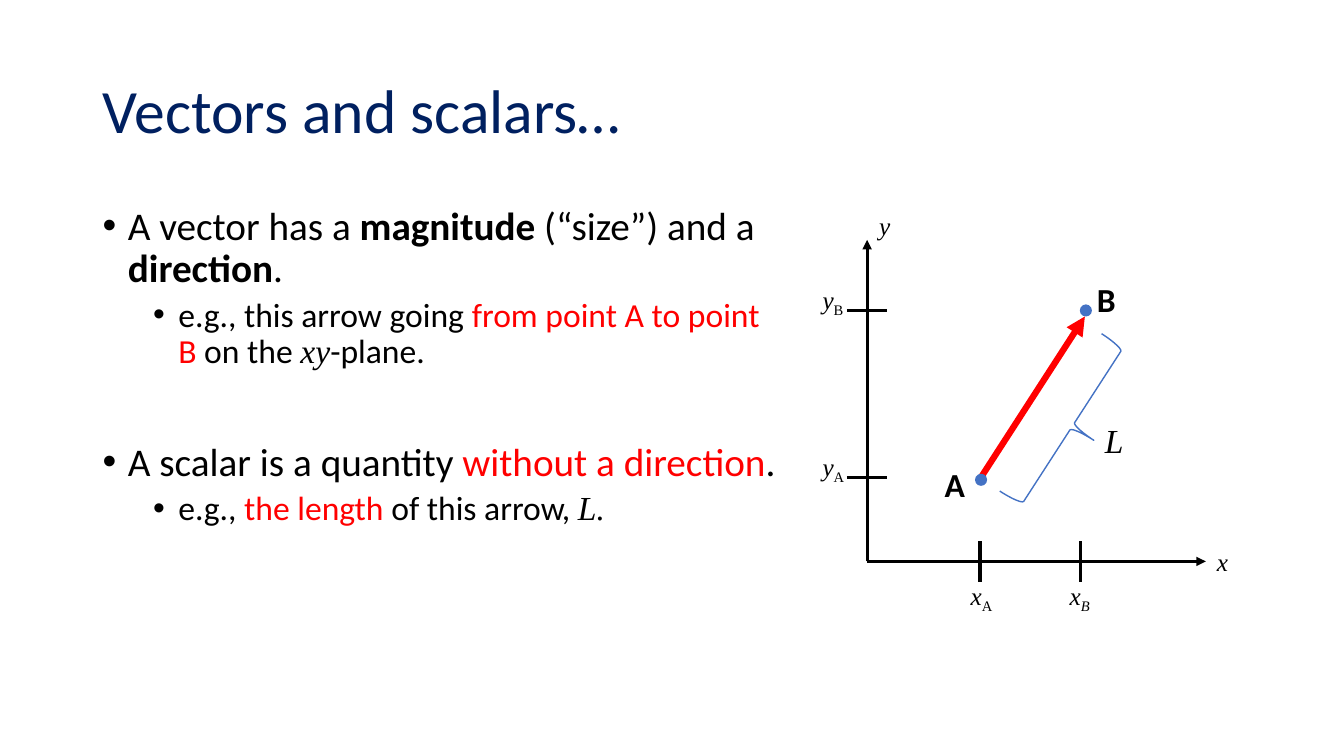
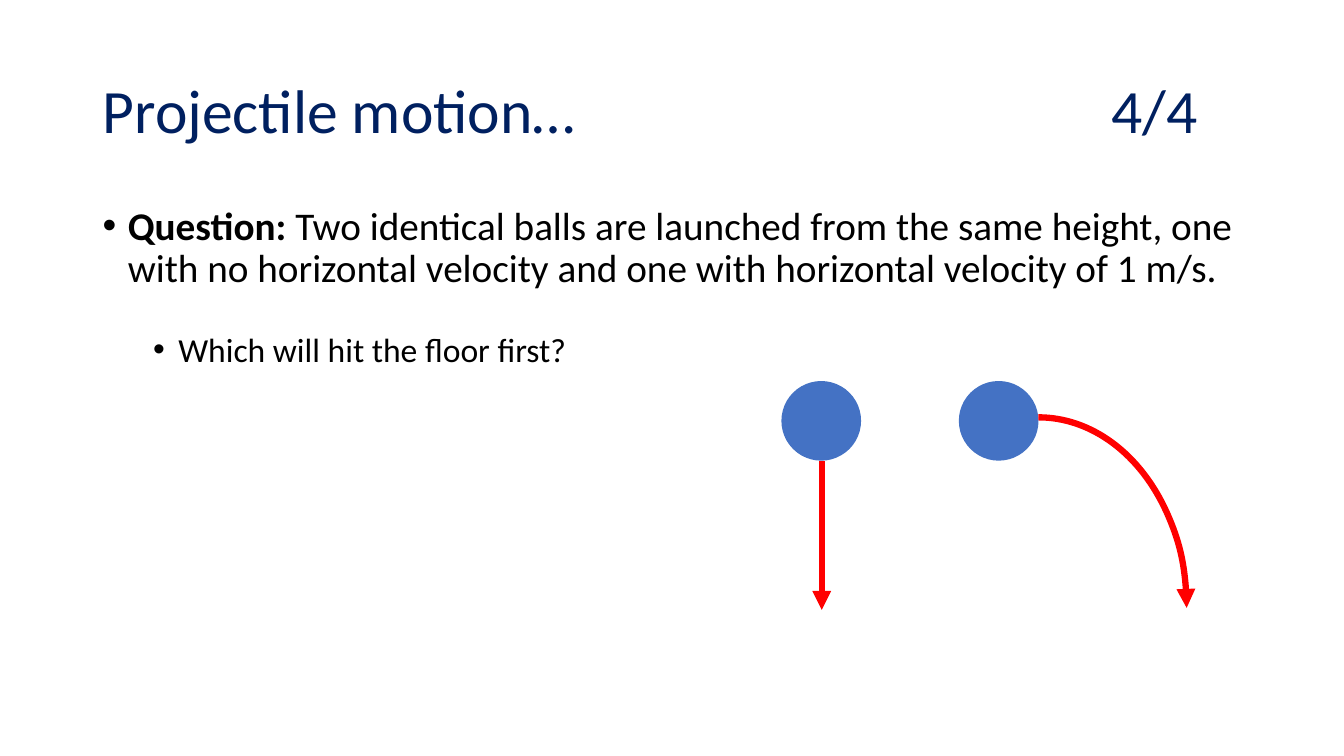
from lxml.etree import SubElement
from pptx import Presentation
from pptx.dml.color import RGBColor
from pptx.enum.shapes import MSO_CONNECTOR, MSO_SHAPE
from pptx.enum.text import MSO_ANCHOR, MSO_AUTO_SIZE, PP_ALIGN
from pptx.oxml.ns import qn
from pptx.util import Emu, Pt

PX = 9144  # 100 px to the inch
COLORS = {"title": "002060", "text": "000000", "accent": "FF0000", "object": "4472C4"}
SANS, SERIF = "Calibri", "Times New Roman"

# Run styles
PLAIN = {}
BOLD = {"bold": True}
RED = {"color": "accent"}
MATH = {"font": SERIF, "italic": True}
SUB = {"font": SERIF, "baseline": -25000}
SUB_MATH = {**MATH, "baseline": -25000}

# Per bullet level: text size, left margin in px
LEVELS = [(28, 25), (24, 75)]
HANGING = 25

TITLE_BOX = (92, 40, 1150, 145)
COUNTER_TAB = 1000

# Bullets: level, space before in points, runs
VECTORS = {
    "title": "Vectors and scalars…",
    "body_box": (92, 200, 695, 358),
    "bullets": [
        (0, 10, [("A vector has a ", PLAIN), ("magnitude", BOLD), (" (“size”) and a ", PLAIN),
                 ("direction", BOLD), (".", PLAIN)]),
        (1, 5, [("e.g., this arrow going ", PLAIN), ("from point A to point B", RED),
                (" on the ", PLAIN), ("xy", MATH), ("-plane.", PLAIN)]),
        (0, 51, [("A scalar is a quantity ", PLAIN), ("without a direction", RED), (".", PLAIN)]),
        (1, 5, [("e.g., ", PLAIN), ("the length ", RED), ("of this arrow, ", PLAIN), ("L.", MATH)]),
    ],
}
PROJECTILE = {
    "title": "Projectile motion…\t4/4",
    "body_box": (92, 200, 1150, 476),
    "bullets": [
        (0, 10, [("Question: ", BOLD),
                 ("Two identical balls are launched from the same height, one with no "
                  "horizontal velocity and one with horizontal velocity of 1 m/s.", PLAIN)]),
        (1, 30, [("Which will hit the floor first?", PLAIN)]),
    ],
}

# Plane diagram
ORIGIN = (860, 557)
X_AXIS_END, Y_AXIS_END = 1196, 238
X_TICKS, Y_TICKS = (972, 1072), (308, 474)
TICK_HALF = 20
POINTS = [(973, 476), (1077, 308)]
POINT_SIZE = 12
VECTOR = ((974, 472), (1076, 314))
LENGTH_BRACE, BRACE_ANGLE = (1038, 330, 51, 186), 32.9
LABELS = [
    ((806, 277, 43, 40), 18, [("y", MATH), ("B", SUB)]),
    ((806, 443, 44, 40), 18, [("y", MATH), ("A", SUB)]),
    ((953, 571, 44, 40), 18, [("x", MATH), ("A", SUB)]),
    ((1051, 571, 42, 40), 18, [("x", MATH), ("B", SUB_MATH)]),
    ((1197, 537, 31, 40), 18, [("x", MATH)]),
    ((862, 204, 31, 40), 18, [("y", MATH)]),
    ((1078, 272, 39, 50), 24, [("B", BOLD)]),
    ((927, 455, 41, 50), 24, [("A", BOLD)]),
    ((1086, 412, 39, 50), 24, [("L", MATH)]),
]

# Ball diagram
BALL_SIZE, BALL_TOP = 79, 378
BALL_LEFTS = (775, 951)
DROP_END = 605
FLIGHT_ARC = (883, 414, 294, 378)


def emu(lengths):
    return [Emu(length * PX) for length in lengths]


def rgb(name):
    return RGBColor.from_string(COLORS[name])


def add_runs(paragraph, runs, size, color="text"):
    for text, style in runs:
        run = paragraph.add_run()
        run.text = text
        font = run.font
        font.size = Pt(size)
        font.name = style.get("font", SANS)
        font.bold = style.get("bold", False)
        font.italic = style.get("italic", False)
        font.color.rgb = rgb(style.get("color", color))
        if "baseline" in style:
            run._r.get_or_add_rPr().set("baseline", str(style["baseline"]))


def add_bullets(slide, box, bullets):
    frame = slide.shapes.add_textbox(*emu(box)).text_frame
    frame.word_wrap = True
    for index, (level, space_before, runs) in enumerate(bullets):
        paragraph = frame.add_paragraph() if index else frame.paragraphs[0]
        size, margin = LEVELS[level]
        paragraph.level = level
        paragraph.line_spacing = 0.9
        paragraph.space_before = Pt(space_before)
        properties = paragraph._p.get_or_add_pPr()
        properties.set("marL", str(margin * PX))
        properties.set("indent", str(-HANGING * PX))
        SubElement(properties, qn("a:buFont"), typeface="Arial")
        SubElement(properties, qn("a:buChar"), char="•")
        add_runs(paragraph, runs, size)


def add_content_slide(deck, content):
    slide = deck.slides.add_slide(deck.slide_layouts[5])
    title = slide.shapes.title
    title.left, title.top, title.width, title.height = emu(TITLE_BOX)
    frame = title.text_frame
    frame.vertical_anchor = MSO_ANCHOR.MIDDLE
    paragraph = frame.paragraphs[0]
    paragraph.alignment = PP_ALIGN.LEFT
    paragraph.line_spacing = 0.9
    if "\t" in content["title"]:
        tabs = SubElement(paragraph._p.get_or_add_pPr(), qn("a:tabLst"))
        SubElement(tabs, qn("a:tab"), pos=str(COUNTER_TAB * PX), algn="l")
    add_runs(paragraph, [(content["title"], PLAIN)], 44, "title")
    add_bullets(slide, content["body_box"], content["bullets"])
    return slide


def style_line(line, color, width, arrow=False):
    line.color.rgb = rgb(color)
    line.width = Pt(width)
    if arrow:
        SubElement(line._get_or_add_ln(), qn("a:tailEnd"), type="triangle")


def add_segment(slide, start, end, color="text", width=2.25, arrow=False):
    segment = slide.shapes.add_connector(MSO_CONNECTOR.STRAIGHT, *emu((*start, *end)))
    style_line(segment.line, color, width, arrow)
    SubElement(segment._element.spPr, qn("a:effectLst"))


def add_disc(slide, left, top, size):
    disc = slide.shapes.add_shape(MSO_SHAPE.OVAL, *emu((left, top, size, size)))
    disc.shadow.inherit = False
    disc.fill.solid()
    disc.fill.fore_color.rgb = rgb("object")
    disc.line.fill.background()


def add_outline(slide, preset, box, color, width, arrow=False):
    outline = slide.shapes.add_shape(preset, *emu(box))
    outline.shadow.inherit = False
    outline.fill.background()
    style_line(outline.line, color, width, arrow)
    return outline


def add_label(slide, box, size, runs):
    frame = slide.shapes.add_textbox(*emu(box)).text_frame
    frame.word_wrap = False
    frame.auto_size = MSO_AUTO_SIZE.SHAPE_TO_FIT_TEXT
    add_runs(frame.paragraphs[0], runs, size)


def draw_plane(slide):
    origin_x, origin_y = ORIGIN
    add_segment(slide, ORIGIN, (origin_x, Y_AXIS_END), arrow=True)
    add_segment(slide, ORIGIN, (X_AXIS_END, origin_y), arrow=True)
    for x in X_TICKS:
        add_segment(slide, (x, origin_y - TICK_HALF), (x, origin_y + TICK_HALF))
    for y in Y_TICKS:
        add_segment(slide, (origin_x - TICK_HALF, y), (origin_x + TICK_HALF, y))
    add_segment(slide, *VECTOR, "accent", 4.5, arrow=True)
    for x, y in POINTS:
        add_disc(slide, x - POINT_SIZE // 2, y - POINT_SIZE // 2, POINT_SIZE)
    brace = add_outline(slide, MSO_SHAPE.RIGHT_BRACE, LENGTH_BRACE, "object", 1)
    brace.rotation = BRACE_ANGLE
    for box, size, runs in LABELS:
        add_label(slide, box, size, runs)


def draw_balls(slide):
    for left in BALL_LEFTS:
        add_disc(slide, left, BALL_TOP, BALL_SIZE)
    drop_x = BALL_LEFTS[0] + BALL_SIZE // 2 + 1
    add_segment(slide, (drop_x, BALL_TOP + BALL_SIZE), (drop_x, DROP_END),
                "accent", 4.5, arrow=True)
    add_outline(slide, MSO_SHAPE.ARC, FLIGHT_ARC, "accent", 4.5, arrow=True)


def main():
    deck = Presentation()
    deck.slide_width, deck.slide_height = emu((1333, 750))
    draw_plane(add_content_slide(deck, VECTORS))
    draw_balls(add_content_slide(deck, PROJECTILE))
    deck.save("out.pptx")


if __name__ == "__main__":
    main()
